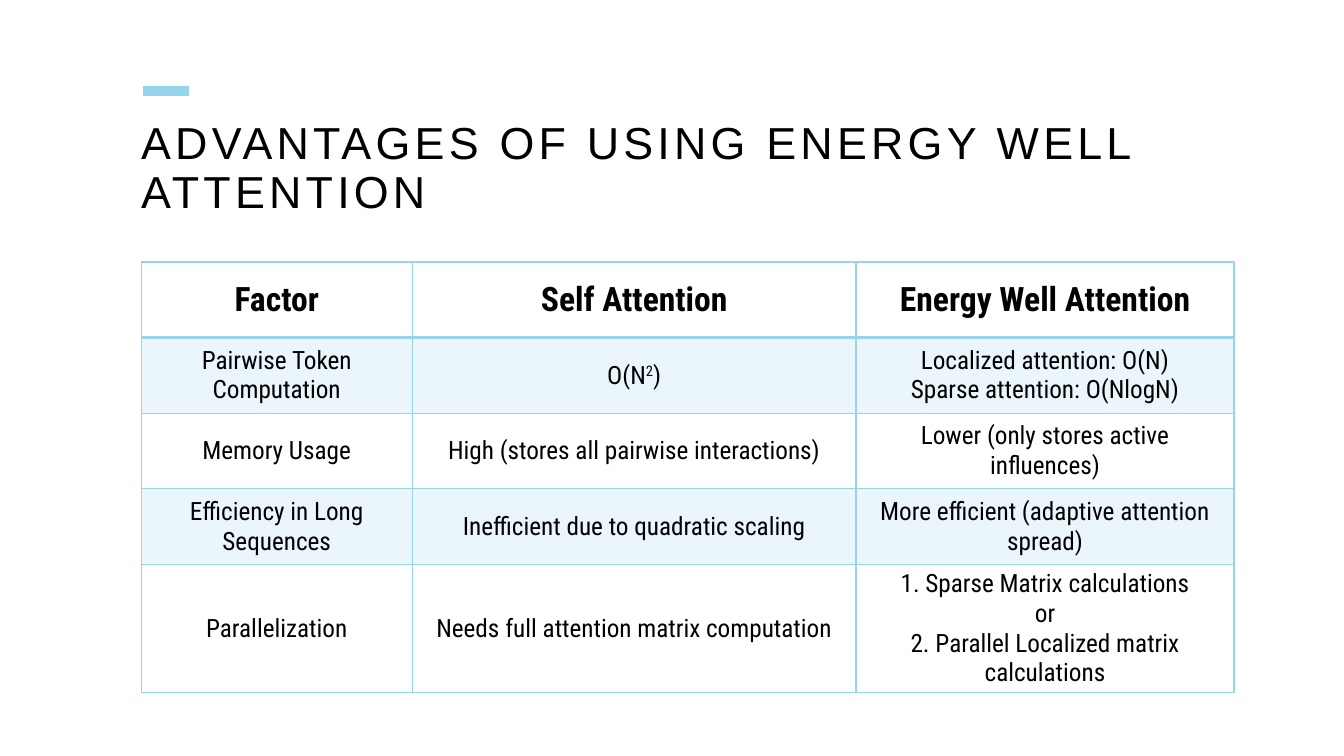
"""Build a slide comparing self attention with energy well attention."""
from lxml.etree import SubElement
from pptx import Presentation
from pptx.dml.color import RGBColor
from pptx.enum.shapes import MSO_CONNECTOR
from pptx.enum.text import MSO_ANCHOR, MSO_AUTO_SIZE, PP_ALIGN
from pptx.oxml import parse_xml
from pptx.oxml.ns import nsdecls, qn
from pptx.util import Inches, Pt

BLUE = "96D3ED"
BLACK = "000000"
TITLE_FONT = "Arial"
TABLE_FONT = "Roboto Condensed"
COLUMN_WIDTHS = [2.69, 4.4, 3.75]
ROW_HEIGHT = 0.75
SUPERSCRIPT = "^"
ROWS = [
    ["Factor", "Self Attention", "Energy Well Attention"],
    ["Pairwise Token Computation", "O(N^2^)",
     "Localized attention: O(N)\nSparse attention: O(NlogN)"],
    ["Memory Usage", "High (stores all pairwise interactions)",
     "Lower (only stores active influences)"],
    ["Efficiency in Long Sequences", "Inefficient due to quadratic scaling",
     "More efficient (adaptive attention spread)"],
    ["Parallelization", "Needs full attention matrix computation",
     "1. Sparse Matrix calculations\nor\n2. Parallel Localized matrix calculations"],
]


def rgb(color):
    """Turn a hex string into a colour."""
    return RGBColor.from_string(color)


def add_run(p, text, font, size, bold=False):
    """Add a formatted run to a paragraph and return it."""
    r = p.add_run()
    r.text = text
    r.font.name = font
    r.font.size = Pt(size)
    r.font.bold = bold
    r.font.color.rgb = rgb(BLACK)
    return r


def add_accent(s):
    """Draw the short thick line above the title."""
    line = s.shapes.add_connector(MSO_CONNECTOR.STRAIGHT, Inches(1.42), Inches(0.9),
                                  Inches(1.87), Inches(0.9))
    line.line.color.rgb = rgb(BLUE)
    line.line.width = Pt(7)
    SubElement(line._element.spPr, qn("a:effectLst"))


def set_title(s, text):
    """Place and format the title placeholder."""
    sp = s.shapes.title
    sp.left, sp.top = Inches(1.4), Inches(1.2)
    sp.width, sp.height = Inches(10.5), Inches(1)
    tf = sp.text_frame
    tf.margin_left = tf.margin_right = tf.margin_top = tf.margin_bottom = 0
    tf.word_wrap = True
    tf.auto_size = MSO_AUTO_SIZE.NONE
    tf.vertical_anchor = MSO_ANCHOR.TOP
    p = tf.paragraphs[0]
    p.alignment = PP_ALIGN.LEFT
    p.line_spacing = 0.9
    r = add_run(p, text, TITLE_FONT, 32)
    r._r.get_or_add_rPr().set("spc", "300")


def set_borders(cell, top, bottom):
    """Outline a cell, with the top and bottom widths in points."""
    widths = {"lnL": 1, "lnR": 1, "lnT": top, "lnB": bottom}
    for i, (tag, width) in enumerate(widths.items()):
        border = parse_xml(
            f'<a:{tag} {nsdecls("a")} w="{Pt(width)}"><a:solidFill>'
            f'<a:srgbClr val="{BLUE}"/></a:solidFill></a:{tag}>')
        cell._tc.get_or_add_tcPr().insert(i, border)


def set_fill(cell, tinted):
    """Give a cell a light tint or no fill."""
    if not tinted:
        cell.fill.background()
        return
    cell.fill.solid()
    cell.fill.fore_color.rgb = rgb(BLUE)
    color = cell._tc.tcPr.find(qn("a:solidFill")).find(qn("a:srgbClr"))
    SubElement(color, qn("a:alpha"), val="20000")


def set_cell_text(cell, text, size, bold):
    """Write centred text with line breaks and marked superscripts."""
    cell.vertical_anchor = MSO_ANCHOR.MIDDLE
    p = cell.text_frame.paragraphs[0]
    p.alignment = PP_ALIGN.CENTER
    for i, line in enumerate(text.split("\n")):
        if i:
            p.add_line_break()
        for j, part in enumerate(line.split(SUPERSCRIPT)):
            r = add_run(p, part, TABLE_FONT, size, bold)
            if j % 2:
                r._r.get_or_add_rPr().set("baseline", "30000")


def add_comparison_table(s):
    """Add the table that compares the two kinds of attention."""
    frame = s.shapes.add_table(len(ROWS), len(COLUMN_WIDTHS), Inches(1.4), Inches(2.6),
                               Inches(sum(COLUMN_WIDTHS)), Inches(ROW_HEIGHT * len(ROWS)))
    table = frame.table
    table.horz_banding = False
    for column, width in zip(table.columns, COLUMN_WIDTHS):
        column.width = Inches(width)
    for i, texts in enumerate(ROWS):
        header = i == 0
        table.rows[i].height = Inches(ROW_HEIGHT)
        for j, text in enumerate(texts):
            cell = table.cell(i, j)
            set_cell_text(cell, text, 24 if header else 18, header)
            set_fill(cell, i % 2 == 1)
            set_borders(cell, 2 if i == 1 else 1, 2 if header else 1)


def main():
    """Build and save the slide."""
    prs = Presentation()
    prs.slide_width, prs.slide_height = Inches(13.33), Inches(7.5)
    s = prs.slides.add_slide(prs.slide_layouts[5])
    add_accent(s)
    set_title(s, "ADVANTAGES OF USING ENERGY WELL ATTENTION")
    add_comparison_table(s)
    prs.save("out.pptx")


if __name__ == "__main__":
    main()
